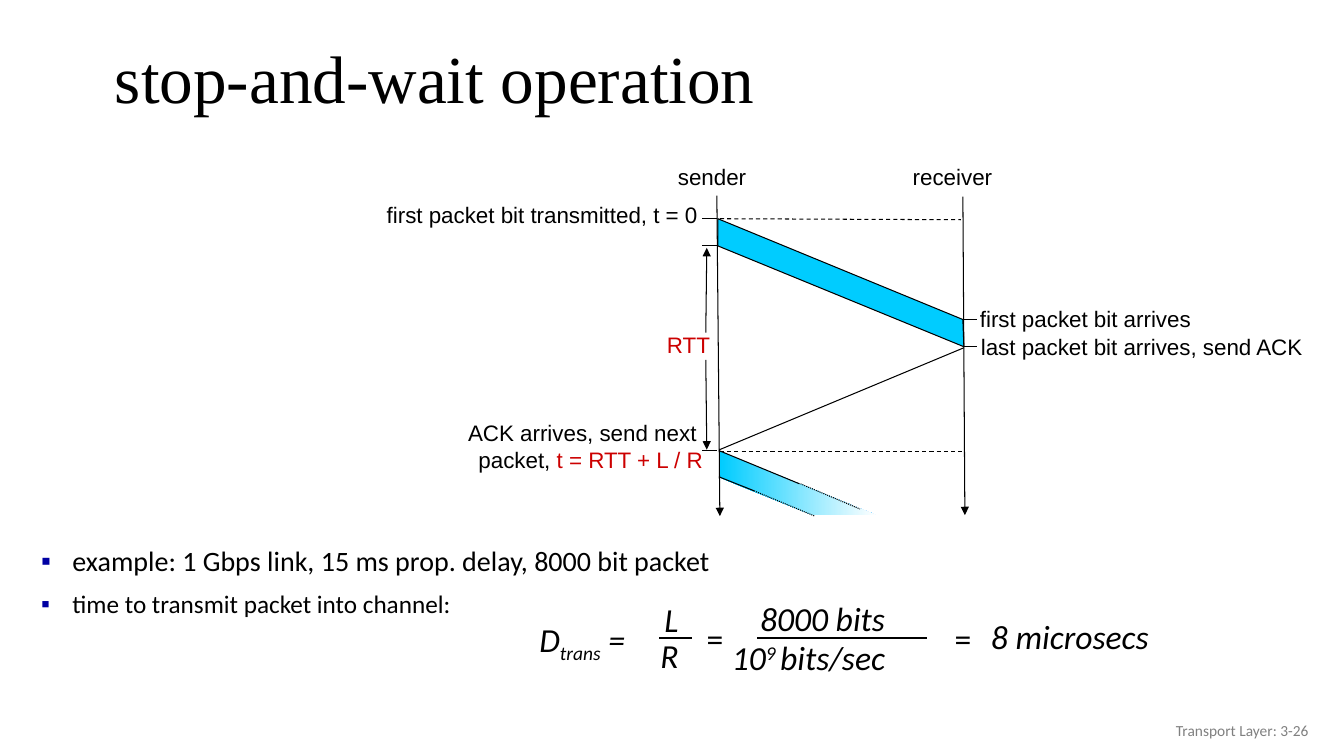
from dataclasses import dataclass
from typing import Any

from lxml.etree import SubElement
from pptx import Presentation
from pptx.dml.color import RGBColor
from pptx.enum.dml import MSO_LINE
from pptx.enum.shapes import MSO_CONNECTOR
from pptx.enum.text import MSO_ANCHOR, MSO_AUTO_SIZE, PP_ALIGN
from pptx.oxml.ns import qn
from pptx.util import Emu, Inches, Pt

COLORS = {
    "black": "000000", "white": "FFFFFF", "packet": "00CCFF",
    "accent": "CC0000", "bullet": "0000A3", "footer": "808080",
}
# The grid has ten columns and ten rows to the inch
CELL = Inches(0.1)
SENDER, RECEIVER = 71.2, 95.6
FIRST_BIT, LAST_BIT, ACK_BACK = 21.7, 24.4, 44.7

LABEL = {"name": "Arial", "size": Pt(16)}
BODY = {"name": "Calibri", "size": Pt(20)}
SMALL_BODY = {"name": "Calibri", "size": Pt(18)}
FORMULA = {"name": "Calibri", "size": Pt(24), "italic": True}
SIGN = {"name": "Calibri", "size": Pt(24)}
FOOTER = {"name": "Calibri", "size": Pt(11)}
TITLE = {"name": "Times New Roman", "size": Pt(48)}


@dataclass
class Piece:
    text: str
    color: str = "black"
    baseline: int = 0


@dataclass
class Label:
    box: tuple[float, float, float, float]
    lines: list[list[Piece]]
    font: dict[str, Any]
    align: PP_ALIGN = PP_ALIGN.LEFT
    fill: str = ""
    wrap: bool = True
    anchor: MSO_ANCHOR = MSO_ANCHOR.TOP


@dataclass
class Line:
    start: tuple[float, float]
    end: tuple[float, float]
    width: float = 0.75
    dash: MSO_LINE | None = None
    arrow: bool = False


def rgb(name: str) -> RGBColor:
    return RGBColor.from_string(COLORS[name])


def cells(*counts: float) -> list[Emu]:
    return [Emu(round(count * CELL)) for count in counts]


def apply(target: Any, values: dict[str, Any]) -> None:
    for name, value in values.items():
        setattr(target, name, value)


def write(paragraph: Any, pieces: list[Piece], font: dict[str, Any]) -> None:
    for piece in pieces:
        run = paragraph.add_run()
        run.text = piece.text
        apply(run.font, font)
        run.font.color.rgb = rgb(piece.color)
        if piece.baseline:
            run._r.get_or_add_rPr().set("baseline", str(piece.baseline * 1000))


def draw_label(shapes: Any, label: Label) -> Any:
    shape = shapes.add_textbox(*cells(*label.box))
    if label.fill:
        shape.fill.solid()
        shape.fill.fore_color.rgb = rgb(label.fill)
    frame = shape.text_frame
    size_mode = MSO_AUTO_SIZE.NONE if label.wrap else MSO_AUTO_SIZE.SHAPE_TO_FIT_TEXT
    apply(frame, {"word_wrap": label.wrap, "vertical_anchor": label.anchor,
                  "auto_size": size_mode})
    for index, pieces in enumerate(label.lines):
        paragraph = frame.add_paragraph() if index else frame.paragraphs[0]
        paragraph.alignment = label.align
        write(paragraph, pieces, label.font)
    return shape


def draw_line(shapes: Any, line: Line) -> None:
    connector = shapes.add_connector(MSO_CONNECTOR.STRAIGHT, *cells(*line.start, *line.end))
    connector.line.color.rgb = rgb("black")
    connector.line.width = Pt(line.width)
    if line.dash:
        connector.line.dash_style = line.dash
    properties = connector._element.spPr
    if line.arrow:
        SubElement(properties.find(qn("a:ln")), qn("a:tailEnd"), type="triangle")
    SubElement(properties, qn("a:effectLst"))


def draw_packet(shapes: Any, corners: list[tuple[float, float]], fading: bool) -> None:
    points = [tuple(cells(*corner)) for corner in corners]
    builder = shapes.build_freeform(*points[0])
    builder.add_line_segments(points[1:], close=True)
    shape = builder.convert_to_shape()
    shape.shadow.inherit = False
    if fading:
        shape.fill.gradient()
        shape.fill.gradient_angle = 0
        for stop, color, position in zip(shape.fill.gradient_stops, ("packet", "white"), (0, 1)):
            stop.color.rgb = rgb(color)
            stop.position = position
        shape.line.fill.background()
    else:
        shape.fill.solid()
        shape.fill.fore_color.rgb = rgb("packet")
        shape.line.color.rgb = rgb("black")
        shape.line.width = Pt(0.75)


def add_bullet(paragraph: Any) -> None:
    apply(paragraph, {"line_spacing": 0.9, "space_before": Pt(10)})
    properties = paragraph._p.get_or_add_pPr()
    properties.set("marL", str(Inches(0.45)))
    properties.set("indent", str(Inches(-0.31)))
    color = SubElement(properties, qn("a:buClr"))
    SubElement(color, qn("a:srgbClr"), val=COLORS["bullet"])
    SubElement(properties, qn("a:buFont"), typeface="Arial")
    SubElement(properties, qn("a:buChar"), char="▪")


RIGHT = PP_ALIGN.RIGHT
DIAGRAM_LABELS = [
    Label((34.9, 19.5, 35.3, 3.9), [[Piece("first packet bit transmitted, t = 0")]], LABEL, RIGHT, "white"),
    Label((65.3, 15.7, 9.7, 3.8), [[Piece("sender")]], LABEL, RIGHT, "white"),
    Label((89.1, 15.7, 10.3, 3.8), [[Piece("receiver")]], LABEL, RIGHT, "white"),
    Label((62.5, 32.4, 8.9, 3.7), [[Piece("RTT", "accent")]], LABEL, RIGHT),
    Label((96.2, 29.8, 26.5, 3.9), [[Piece("first packet bit arrives")]], LABEL),
    Label((96.3, 32.6, 34.1, 6.2), [[Piece("last packet bit arrives, send ACK")]], LABEL),
    Label((41.3, 41.1, 29.4, 6.9),
          [[Piece("ACK arrives, send next ")],
           [Piece("packet, "), Piece("t = RTT + L / R", "accent")]], LABEL, RIGHT),
]
DIAGRAM_LINES = [
    # Time axes and reference levels
    Line((71.1, 19.4), (71.4, 51.2), arrow=True),
    Line((95.5, 19.5), (95.7, 51.1), arrow=True),
    Line((71.4, FIRST_BIT), (95.3, 21.8), dash=MSO_LINE.DASH),
    Line((71.4, 44.8), (95.4, 44.8), dash=MSO_LINE.DASH),
    # Acknowledgement and round-trip arrows
    Line((71.4, 44.6), (RECEIVER, 34.5)),
    Line((70, 35.7), (70.1, 44.6), arrow=True),
    Line((70, 33), (70.1, 24.6), arrow=True),
    # Edges of the next packet
    Line((71.3, ACK_BACK), (79.3, 48)),
    Line((79.4, 48), (85.3, 50.5), dash=MSO_LINE.ROUND_DOT),
    Line((71.3, 47.3), (74.8, 48.7)),
    Line((74.8, 48.7), (80.8, 51.2), dash=MSO_LINE.ROUND_DOT),
    # Event ticks
    *(Line((71.1, row), (69.6, row)) for row in (FIRST_BIT, LAST_BIT, ACK_BACK)),
    *(Line((95.5, row), (96.9, row)) for row in (31.7, 34.4)),
]
FIRST_PACKET = [(SENDER, FIRST_BIT), (95.5, 31.7), (RECEIVER, 34.4), (SENDER, LAST_BIT)]
NEXT_PACKET = [(71.4, 44.8), (86.9, 51.1), (80.6, 51.1), (71.4, 47.4)]

FORMULA_LABELS = [
    Label((52.5, 60.9, 11.2, 5.1),
          [[Piece("D"), Piece("trans", baseline=-25), Piece(" =")]], FORMULA, wrap=False),
    Label((64.9, 58.9, 3.4, 5.1), [[Piece("L")]], FORMULA, wrap=False),
    Label((64.5, 62.5, 3.8, 5.1), [[Piece("R")]], FORMULA, wrap=False),
    Label((74.4, 58.8, 14.5, 5.1), [[Piece("8000 bits")]], FORMULA, wrap=False),
    Label((71.6, 62.7, 21.3, 5),
          [[Piece("10"), Piece("9 ", baseline=30), Piece("bits/sec")]], FORMULA),
    *(Label((column, 60.8, 3.7, 5.1), [[Piece("=")]], SIGN, wrap=False) for column in (69.1, 93.7)),
    Label((97.3, 60.6, 17.8, 5.1), [[Piece("8 microsecs")]], FORMULA, wrap=False),
]
FRACTION_BARS = [Line((65.4, 63.3), (68.6, 63.3), 1.5), Line((75.1, 63.3), (91.9, 63.3), 1.5)]


def main() -> None:
    presentation = Presentation()
    presentation.slide_width, presentation.slide_height = Inches(13.33), Inches(7.5)
    slide = presentation.slides.add_slide(presentation.slide_layouts[5])

    # Title
    title = slide.shapes.title
    apply(title, dict(zip(("left", "top", "width", "height"), cells(10.4, 3.2, 119.7, 9.8))))
    apply(title.text_frame, {"vertical_anchor": MSO_ANCHOR.MIDDLE, "auto_size": MSO_AUTO_SIZE.NONE})
    heading = title.text_frame.paragraphs[0]
    apply(heading, {"alignment": PP_ALIGN.LEFT, "line_spacing": 0.9})
    write(heading, [Piece("stop-and-wait operation")], TITLE)

    # Timing diagram
    diagram = slide.shapes.add_group_shape().shapes
    for label in DIAGRAM_LABELS:
        draw_label(diagram, label)
    draw_packet(diagram, FIRST_PACKET, fading=False)
    draw_packet(diagram, NEXT_PACKET, fading=True)
    for line in DIAGRAM_LINES:
        draw_line(diagram, line)

    # Example
    example = draw_label(slide.shapes, Label(
        (1.7, 53.8, 115.2, 11.4),
        [[Piece("example: 1 Gbps link, 15 ms prop. delay, 8000 bit packet")],
         [Piece("time to transmit packet into channel:")]], BODY))
    for paragraph in example.text_frame.paragraphs:
        add_bullet(paragraph)
    apply(example.text_frame.paragraphs[1].runs[0].font, SMALL_BODY)

    # Transmission delay formula
    formula = slide.shapes.add_group_shape().shapes
    for label in FORMULA_LABELS:
        draw_label(formula, label)
    for bar in FRACTION_BARS:
        draw_line(formula, bar)

    # Footer
    draw_label(slide.shapes, Label(
        (100.8, 70.5, 30, 4), [[Piece("Transport Layer: 3-26", "footer")]],
        FOOTER, RIGHT, anchor=MSO_ANCHOR.MIDDLE))
    presentation.save("out.pptx")


if __name__ == "__main__":
    main()
